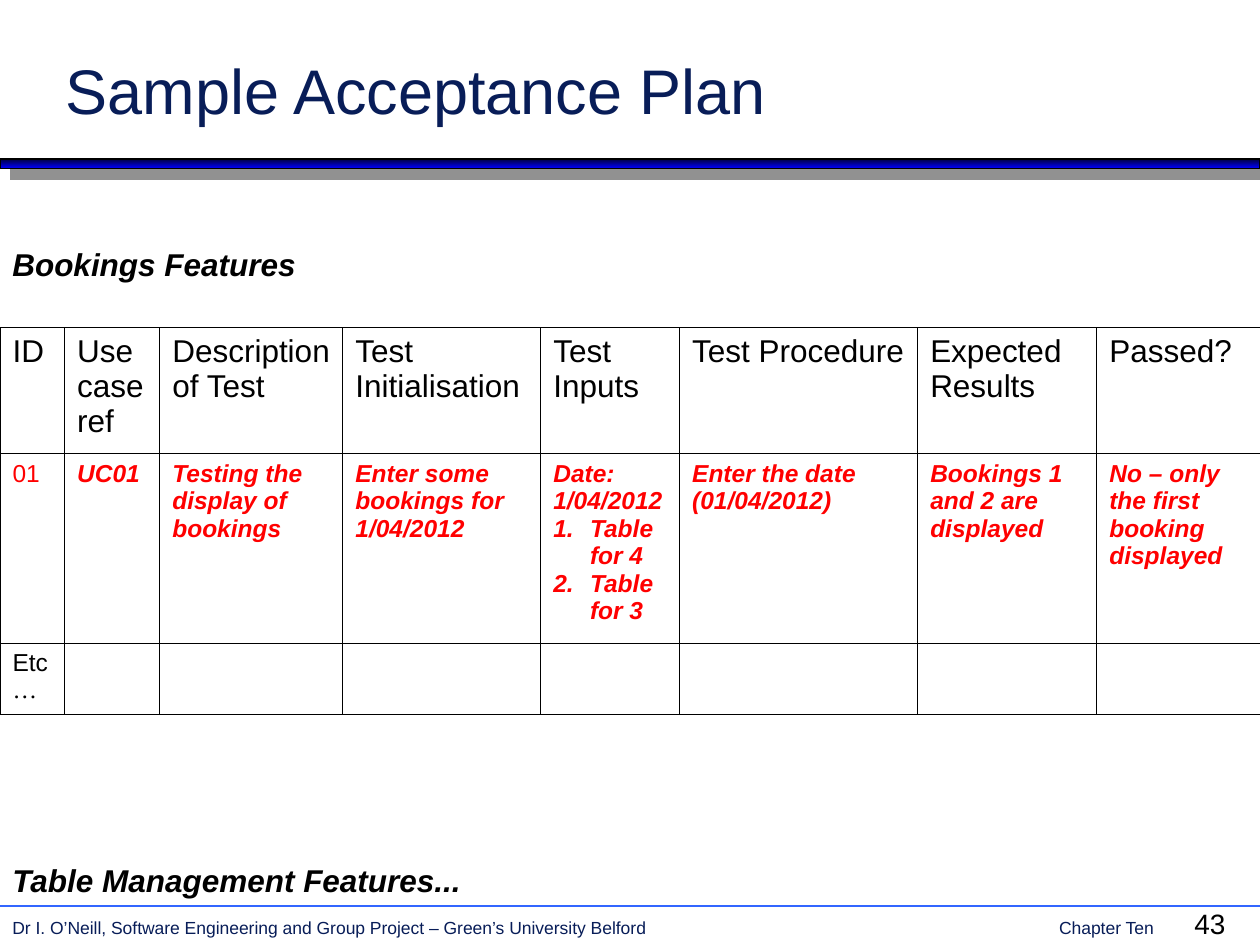
from lxml.etree import SubElement
from pptx import Presentation
from pptx.dml.color import RGBColor
from pptx.enum.shapes import MSO_CONNECTOR, MSO_SHAPE
from pptx.enum.text import MSO_ANCHOR, MSO_AUTO_SIZE, PP_ALIGN
from pptx.oxml import parse_xml
from pptx.oxml.ns import nsdecls, qn
from pptx.util import Cm, Pt


def rgb(value):
    return RGBColor.from_string(value)


def write(paragraph, text, color="000000", **font_format):
    """Append a run in Arial, with any font attributes given."""
    run = paragraph.add_run()
    run.text = text
    run.font.color.rgb = rgb(color)
    for attribute, value in {"name": "Arial", **font_format}.items():
        setattr(run.font, attribute, value)


NAVY, RED = "081D58", "FF0000"
HEADING = {"size": Pt(18), "bold": True, "italic": True}
RESULT = {"color": RED, "size": Pt(14), "bold": True, "italic": True}

prs = Presentation()
prs.slide_width, prs.slide_height = Cm(25.4), Cm(19.05)
slide = prs.slides.add_slide(prs.slide_layouts[5])
shapes = slide.shapes

# Title and the rule below it
title = shapes.title
title_place = {"left": Cm(1.07), "top": Cm(0.71), "width": Cm(21.69), "height": Cm(1.98)}
for attribute, value in title_place.items():
    setattr(title, attribute, value)
title.text_frame.auto_size = MSO_AUTO_SIZE.NONE
title.text_frame.vertical_anchor = MSO_ANCHOR.BOTTOM
title.text_frame.paragraphs[0].alignment = PP_ALIGN.LEFT
write(title.text_frame.paragraphs[0], "Sample Acceptance Plan", NAVY, size=Pt(36))

title_rule = shapes.add_shape(MSO_SHAPE.RECTANGLE, 0, Cm(3.2), Cm(25.4), Cm(0.2))
title_rule.fill.gradient()
title_rule.fill.gradient_angle = 270
for stop, position, color in zip(title_rule.fill.gradient_stops, (0, 1), ("000036", "0000FF")):
    stop.position = position
    stop.color.rgb = rgb(color)
title_rule.line.color.rgb = rgb("000000")
title_rule.line.width = Pt(1)
title_rule.shadow.inherit = False
title_rule._element.spPr.find(qn("a:effectLst")).append(parse_xml(
    f'<a:outerShdw {nsdecls("a")} blurRad="0" dist="{Pt(8.5)}" dir="2700000" algn="ctr" '
    'rotWithShape="0"><a:srgbClr val="919191"/></a:outerShdw>'))

# Section headings, footer text and page number
labels = [
    ("Bookings Features", 0, 4.5, 6.22, 2.06, 0.43, "000000", HEADING),
    ("Table Management Features...", 0, 16.92, 11.1, 1.3, 0.43, "000000", HEADING),
    ("Dr I. O’Neill, Software Engineering and Group Project – Green’s University Belford"
     "\tChapter Ten", 0, 18.36, 23.75, 0.66, 0.13, NAVY, {"size": Pt(10)}),
    ("43", 23.83, 18.14, 1.27, 0.94, 0.13, "000000", {"size": Pt(16)}),
]
for text, left, top, width, height, inset, color, font_format in labels:
    label = shapes.add_textbox(Cm(left), Cm(top), Cm(width), Cm(height))
    label.text_frame.word_wrap = True
    label.text_frame.margin_top = Cm(inset)
    paragraph = label.text_frame.paragraphs[0]
    write(paragraph, text, color, **font_format)
    if "\t" in text:
        tabs = SubElement(paragraph._p.get_or_add_pPr(), qn("a:tabLst"))
        SubElement(tabs, qn("a:tab"), pos=str(Cm(21.1)), algn="l")

footer_rule = shapes.add_connector(MSO_CONNECTOR.STRAIGHT, 0, Cm(18.26), Cm(25.4), Cm(18.26))
footer_rule.line.color.rgb = rgb("3366FF")
footer_rule.line.width = Pt(1)
SubElement(footer_rule._element.spPr, qn("a:effectLst"))

# Acceptance test table
headers = ["ID", "Use case ref", "Description of Test", "Test Initialisation",
           "Test Inputs", "Test Procedure", "Expected Results", "Passed?"]
booking_test = ["01", "UC01", "Testing the display of bookings",
                "Enter some bookings for 1/04/2012",
                "Date:\n1/04/2012\nTable for 4\nTable for 3",
                "Enter the date\n(01/04/2012)", "Bookings 1 and 2 are displayed",
                "No – only the first booking displayed"]
column_widths = [1.3, 1.92, 3.69, 3.99, 2.8, 4.8, 3.61, 3.29]
row_heights = [2.54, 3.82, 1.44]

plan = shapes.add_table(3, 8, 0, Cm(6.6), Cm(25.4), Cm(sum(row_heights))).table
plan.first_row = plan.horz_banding = False
for column, width in zip(plan.columns, column_widths):
    column.width = Cm(width)
for row, height in zip(plan.rows, row_heights):
    row.height = Cm(height)

for cell in plan.iter_cells():
    for side in ("lnL", "lnR", "lnT", "lnB"):
        cell._tc.get_or_add_tcPr().append(parse_xml(
            f'<a:{side} {nsdecls("a")} w="{Pt(0.45)}"><a:solidFill>'
            f'<a:srgbClr val="000000"/></a:solidFill></a:{side}>'))
    cell.fill.background()

for column, (header, result) in enumerate(zip(headers, booking_test)):
    write(plan.cell(0, column).text_frame.paragraphs[0], header, size=Pt(18))
    result_frame = plan.cell(1, column).text_frame
    for index, line in enumerate(result.split("\n")):
        paragraph = result_frame.add_paragraph() if index else result_frame.paragraphs[0]
        emphasis = {"bold": False, "italic": False} if column == 0 else {}
        write(paragraph, line, **{**RESULT, **emphasis})
        if line.startswith("Table for"):
            properties = paragraph._p.get_or_add_pPr()
            properties.set("marL", str(Cm(0.74)))
            properties.set("indent", str(-Cm(0.74)))
            SubElement(properties, qn("a:buFont"), typeface="Arial")
            SubElement(properties, qn("a:buAutoNum"), type="arabicPeriod")

more_tests = plan.cell(2, 0).text_frame.paragraphs[0]
more_tests.space_before = Pt(3.5)
write(more_tests, "Etc", size=Pt(14))
write(more_tests, "…", size=Pt(14), name="Times New Roman")

prs.save("out.pptx")
